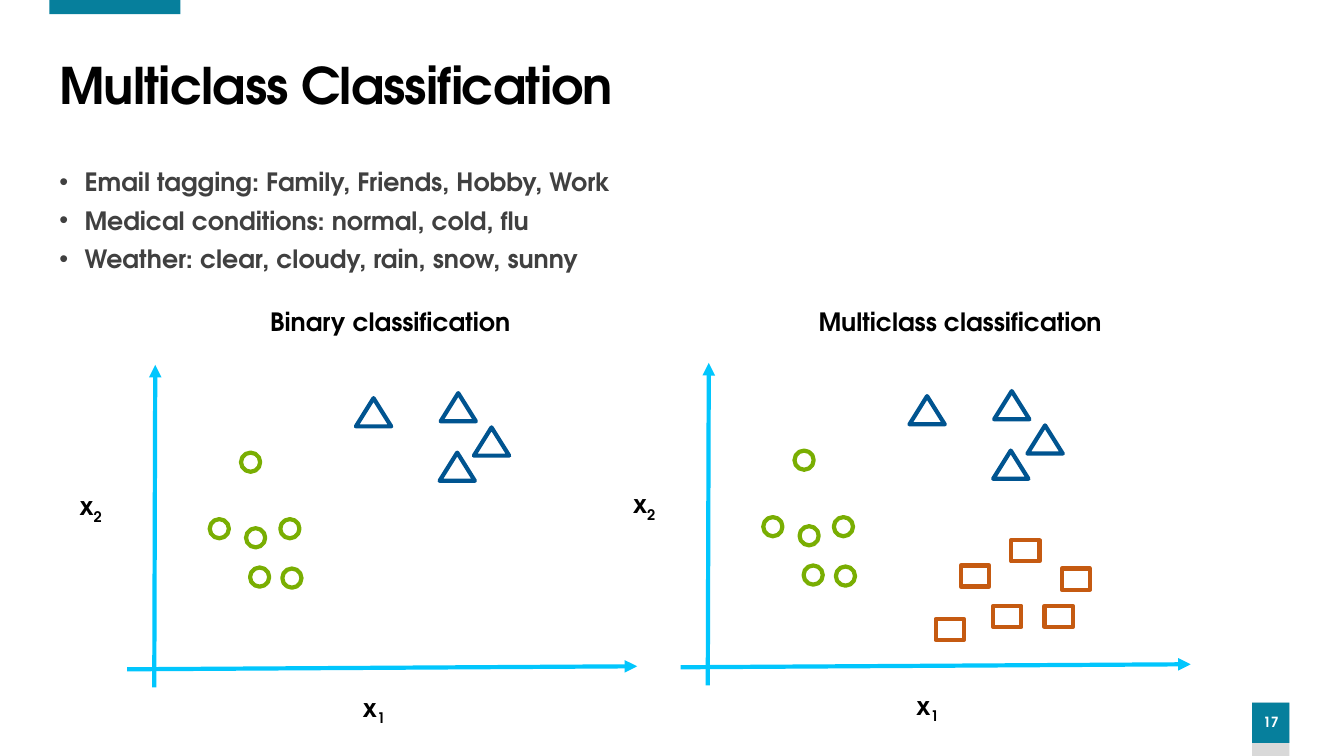
import pptx
import pptx.dml.color
import pptx.enum.shapes
import pptx.enum.text
import pptx.oxml
import pptx.oxml.ns
import pptx.util
from pptx.util import Inches

RGBColor = pptx.dml.color.RGBColor
SHAPE = pptx.enum.shapes.MSO_SHAPE
ALIGN = pptx.enum.text.PP_ALIGN
MIDDLE = pptx.enum.text.MSO_ANCHOR.MIDDLE

TEAL = RGBColor(0x06, 0x7F, 0x9C)
LIGHT_GRAY = RGBColor(0xD9, 0xD9, 0xD9)
DARK_GRAY = RGBColor(0x40, 0x40, 0x40)
BLACK = RGBColor(0x00, 0x00, 0x00)
WHITE = RGBColor(0xFF, 0xFF, 0xFF)
CYAN = RGBColor(0x01, 0xC6, 0xFD)
GREEN = RGBColor(0x79, 0xAE, 0x02)
BLUE = RGBColor(0x00, 0x54, 0x90)
ORANGE = RGBColor(0xC5, 0x5A, 0x11)
FONT = "TeX Gyre Adventor"

presentation = pptx.Presentation()
presentation.slide_width = Inches(13.33)
presentation.slide_height = Inches(7.5)
slide = presentation.slides.add_slide(presentation.slide_layouts[6])


def add_shape(kind, left, top, width, height, fill=None, line=None):
    shape = slide.shapes.add_shape(
        kind, Inches(left), Inches(top), Inches(width), Inches(height))
    shape.shadow.inherit = False
    if fill is None:
        shape.fill.background()
    else:
        shape.fill.solid()
        shape.fill.fore_color.rgb = fill
    if line is None:
        shape.line.fill.background()
    else:
        shape.line.color.rgb = line
        shape.line.width = pptx.util.Pt(3)
    return shape


def add_text(left, top, width, height, lines, size=18, color=BLACK):
    """Add a text box with one paragraph per line; "_" starts a subscript."""
    box = slide.shapes.add_textbox(
        Inches(left), Inches(top), Inches(width), Inches(height))
    frame = box.text_frame
    frame.word_wrap = True
    for index, line in enumerate(lines):
        paragraph = frame.paragraphs[0] if index == 0 else frame.add_paragraph()
        for position, part in enumerate(line.split("_")):
            run = paragraph.add_run()
            run.text = part
            run.font.name = FONT
            run.font.size = pptx.util.Pt(size)
            run.font.bold = True
            run.font.color.rgb = color
            if position == 1:
                run.font._element.set("baseline", "-25000")
    return frame


# Page furniture
add_shape(SHAPE.RECTANGLE, 12.42, 6.97, 0.37, 0.53, LIGHT_GRAY)
add_shape(SHAPE.RECTANGLE, 12.42, 6.97, 0.37, 0.4, TEAL)
add_shape(SHAPE.RECTANGLE, 0.49, 0, 1.3, 0.14, TEAL)

page_number = add_text(12.42, 6.97, 0.37, 0.4, ["17"], 10, WHITE)
page_number.margin_left = page_number.margin_right = 0
page_number.vertical_anchor = MIDDLE
page_number.paragraphs[0].alignment = ALIGN.CENTER
page_number.paragraphs[0].line_spacing = 0.9
page_number.paragraphs[0].space_before = pptx.util.Pt(10)

# Title and bullets
title = add_text(0.49, 0.55, 12.22, 0.65, ["Multiclass Classification"], 36)
title.vertical_anchor = MIDDLE
title.paragraphs[0].line_spacing = 0.9
title.paragraphs[0].runs[0].font._element.set("spc", "-60")

examples = add_text(0.49, 1.6, 12.22, 1.3, [
    "Email tagging: Family, Friends, Hobby, Work",
    "Medical conditions: normal, cold, flu",
    "Weather: clear, cloudy, rain, snow, sunny",
], color=DARK_GRAY)
for paragraph in examples.paragraphs:
    paragraph.space_before = paragraph.space_after = pptx.util.Pt(3)
    properties = paragraph._p.get_or_add_pPr()
    properties.set("marL", str(Inches(0.25)))
    properties.set("indent", str(Inches(-0.25)))
    bullet_font = pptx.oxml.parse_xml(
        f'<a:buFont {pptx.oxml.ns.nsdecls("a")} typeface="Arial"/>')
    bullet = pptx.oxml.parse_xml(
        f'<a:buChar {pptx.oxml.ns.nsdecls("a")} char="•"/>')
    properties.extend([bullet_font, bullet])

# The two plots share axes, circles and triangles, shifted by (dx, dy)
AXES = [(1.53, 6.82, 1.54, 3.62), (1.26, 6.64, 6.32, 6.61)]
CIRCLES = [(2.78, 5.15), (2.44, 5.24), (2.08, 5.15),
           (2.8, 5.64), (2.48, 5.63), (2.39, 4.49)]
TRIANGLES = [(4.37, 3.9), (4.36, 4.49), (4.7, 4.24), (3.53, 3.95)]
SQUARES = [(9.53, 5.61), (9.85, 6.01), (10.36, 6.01),
           (9.28, 6.14), (10.53, 5.64), (10.03, 5.36)]

for dx, dy in [(0, 0), (5.49, -0.02)]:
    for x1, y1, x2, y2 in AXES:
        axis = slide.shapes.add_connector(
            pptx.enum.shapes.MSO_CONNECTOR.STRAIGHT,
            Inches(x1 + dx), Inches(y1 + dy), Inches(x2 + dx), Inches(y2 + dy))
        axis.line.color.rgb = CYAN
        axis.line.width = pptx.util.Pt(3)
        axis.line._get_or_add_ln().append(pptx.oxml.parse_xml(
            f'<a:tailEnd {pptx.oxml.ns.nsdecls("a")} type="triangle"/>'))
        axis._element.spPr.append(pptx.oxml.parse_xml(
            f'<a:effectLst {pptx.oxml.ns.nsdecls("a")}/>'))
    add_text(0.69 + dx, 4.82 + dy, 0.72, 0.4, ["x_2"])
    x1_label = add_text(2.97 + dx, 6.82 + dy, 1.48, 0.4, ["x_1"])
    x1_label.paragraphs[0].alignment = ALIGN.CENTER
    for left, top in CIRCLES:
        add_shape(SHAPE.OVAL, left + dx, top + dy, 0.19, 0.19, line=GREEN)
    for left, top in TRIANGLES:
        add_shape(SHAPE.ISOSCELES_TRIANGLE, left + dx, top + dy, 0.35, 0.28, line=BLUE)

for left, top in SQUARES:
    add_shape(SHAPE.RECTANGLE, left, top, 0.28, 0.21, WHITE, ORANGE)

add_text(2.58, 2.99, 2.94, 0.4, ["Binary classification"])
add_text(8.02, 2.99, 3.23, 0.4, ["Multiclass classification"])

presentation.save("out.pptx")
